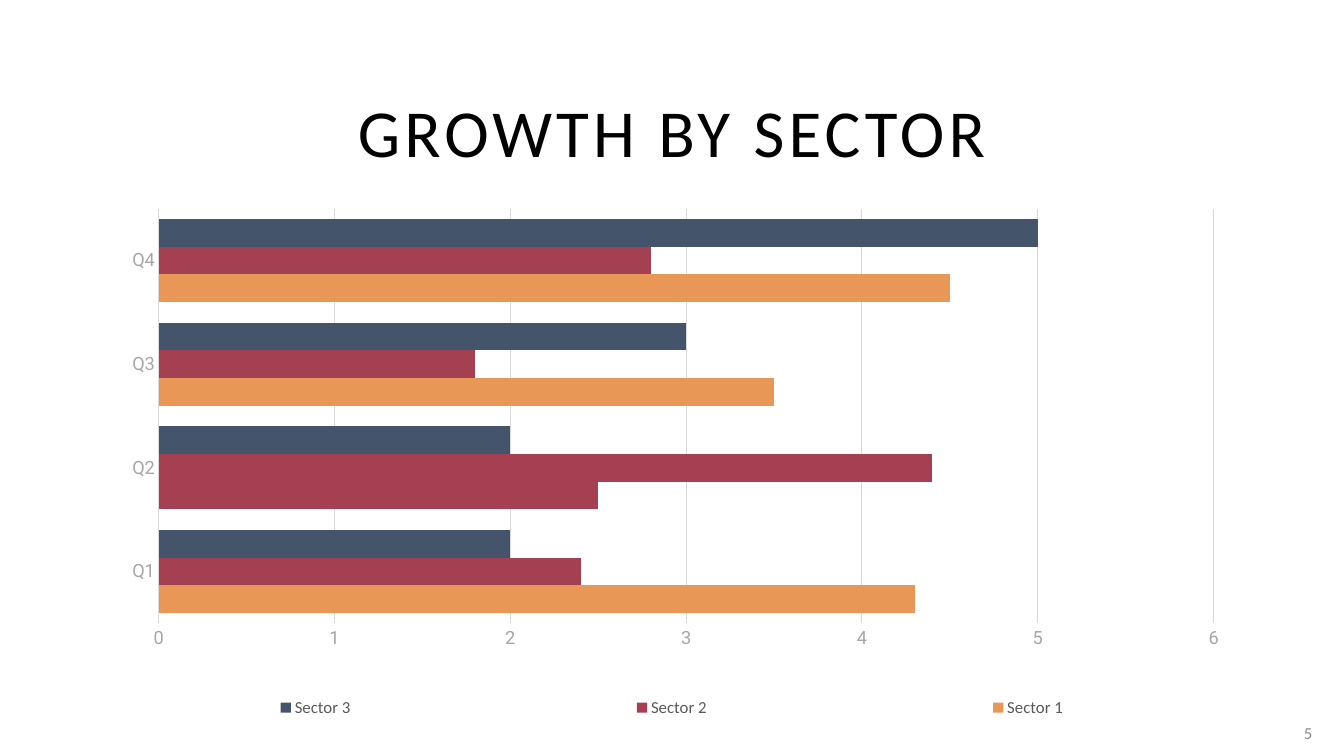
import pptx
import pptx.chart.data
import pptx.dml.color
import pptx.enum.chart
import pptx.enum.text
import pptx.oxml
import pptx.oxml.ns
import pptx.util

Pt = pptx.util.Pt
Align = pptx.enum.text.PP_ALIGN
Kind = pptx.enum.chart.XL_CHART_TYPE
Mark = pptx.enum.chart.XL_TICK_MARK
Side = pptx.enum.chart.XL_LEGEND_POSITION


def tint(code):
    return pptx.dml.color.RGBColor.from_string(code)


def apply(item, values):
    for name, value in values.items():
        setattr(item, name, value)


def paint(fill, code):
    fill.solid()
    fill.fore_color.rgb = tint(code)


def place(parent, index, x, y, w, h, inner=False):
    """Give a chart part a fixed layout, in fractions of the chart."""
    old = parent.find(pptx.oxml.ns.qn("c:layout"))
    if old is not None:
        parent.remove(old)
    rows = [("layoutTarget", "inner")] if inner else []
    rows += [("xMode", "edge"), ("yMode", "edge")]
    rows += [("x", x), ("y", y), ("w", w), ("h", h)]
    body = "".join(f'<c:{tag} val="{value}"/>' for tag, value in rows)
    parent.insert(index, pptx.oxml.parse_xml(
        f'<c:layout {pptx.oxml.ns.nsdecls("c")}>'
        f"<c:manualLayout>{body}</c:manualLayout></c:layout>"))


class Deck:
    body, label = "Calibri", "Roboto"
    black, grey, rule = "000000", "A6A6A6", "D9D9D9"
    orange, red, navy = "E99757", "A53F52", "44546A"

    def __init__(self, wide, high):
        self.file = pptx.Presentation()
        apply(self.file, {"slide_width": Pt(wide), "slide_height": Pt(high)})
        self.slide = self.file.slides.add_slide(self.file.slide_layouts[6])

    def font(self, font, size, color, face):
        apply(font, {"size": Pt(size), "name": face, "bold": False})
        font.color.rgb = tint(color)

    def text(self, box, words, size, color, align, space=0):
        frame = self.slide.shapes.add_textbox(*map(Pt, box)).text_frame
        apply(frame, {"word_wrap": True,
                      "vertical_anchor": pptx.enum.text.MSO_ANCHOR.MIDDLE})
        para = frame.paragraphs[0]
        para.alignment = align
        run = para.add_run()
        run.text = words
        self.font(run.font, size, color, self.body)
        if space:
            run._r.get_or_add_rPr().set("spc", str(space * 100))

    def line(self, line):
        line.width = Pt(0.75)
        paint(line.fill, self.rule)

    def axis(self, axis, grid):
        apply(axis, {"major_tick_mark": Mark.NONE, "minor_tick_mark": Mark.NONE,
                     "has_major_gridlines": grid})
        self.font(axis.tick_labels.font, 13, self.grey, self.label)
        if grid:
            self.line(axis.major_gridlines.format.line)
            axis.format.line.fill.background()
        else:
            self.line(axis.format.line)

    def bars(self, box, names, rows):
        data = pptx.chart.data.CategoryChartData()
        data.categories = names
        for name, values, color in rows:
            data.add_series(name, values)
        chart = self.slide.shapes.add_chart(
            Kind.BAR_CLUSTERED, *map(Pt, box), data).chart
        apply(chart, {"has_title": False, "has_legend": True})
        self.font(chart.font, 15, self.black, self.label)
        plot = chart.plots[0]
        apply(plot, {"gap_width": 75, "overlap": 0, "vary_by_categories": False})
        for series, row in zip(plot.series, rows):
            series.invert_if_negative = False
            paint(series.format.fill, row[2])

        # Axes
        self.axis(chart.category_axis, False)
        self.axis(chart.value_axis, True)
        apply(chart.value_axis, {"minimum_scale": 0, "maximum_scale": 6,
                                 "major_unit": 1})

        # Legend across the full width
        legend = chart.legend
        apply(legend, {"position": Side.BOTTOM, "include_in_layout": False})
        self.font(legend.font, 12, "595959", self.body)
        place(legend._element, 1, 0, 0.88, 1, 0.08)
        area = chart._chartSpace.chart.plotArea
        place(area, 0, 0.118, 0.095, 0.785, 0.686, inner=True)
        return plot


deck = Deck(960, 540)

# Title
deck.text((47, 60.5, 866, 65), "GROWTH BY SECTOR", 48, deck.black,
          Align.CENTER, space=3)

# Sector chart, with one bar of the first sector set apart
plot = deck.bars((0, 108, 960, 432), ["Q1", "Q2", "Q3", "Q4"], [
    ("Sector 1", (4.3, 2.5, 3.5, 4.5), deck.orange),
    ("Sector 2", (2.4, 4.4, 1.8, 2.8), deck.red),
    ("Sector 3", (2, 2, 3, 5), deck.navy),
])
paint(plot.series[0].points[1].format.fill, deck.red)

# Page number
deck.text((909, 509, 35.5, 29), "5", 12, "8C8C8C", Align.RIGHT)

deck.file.save("out.pptx")
